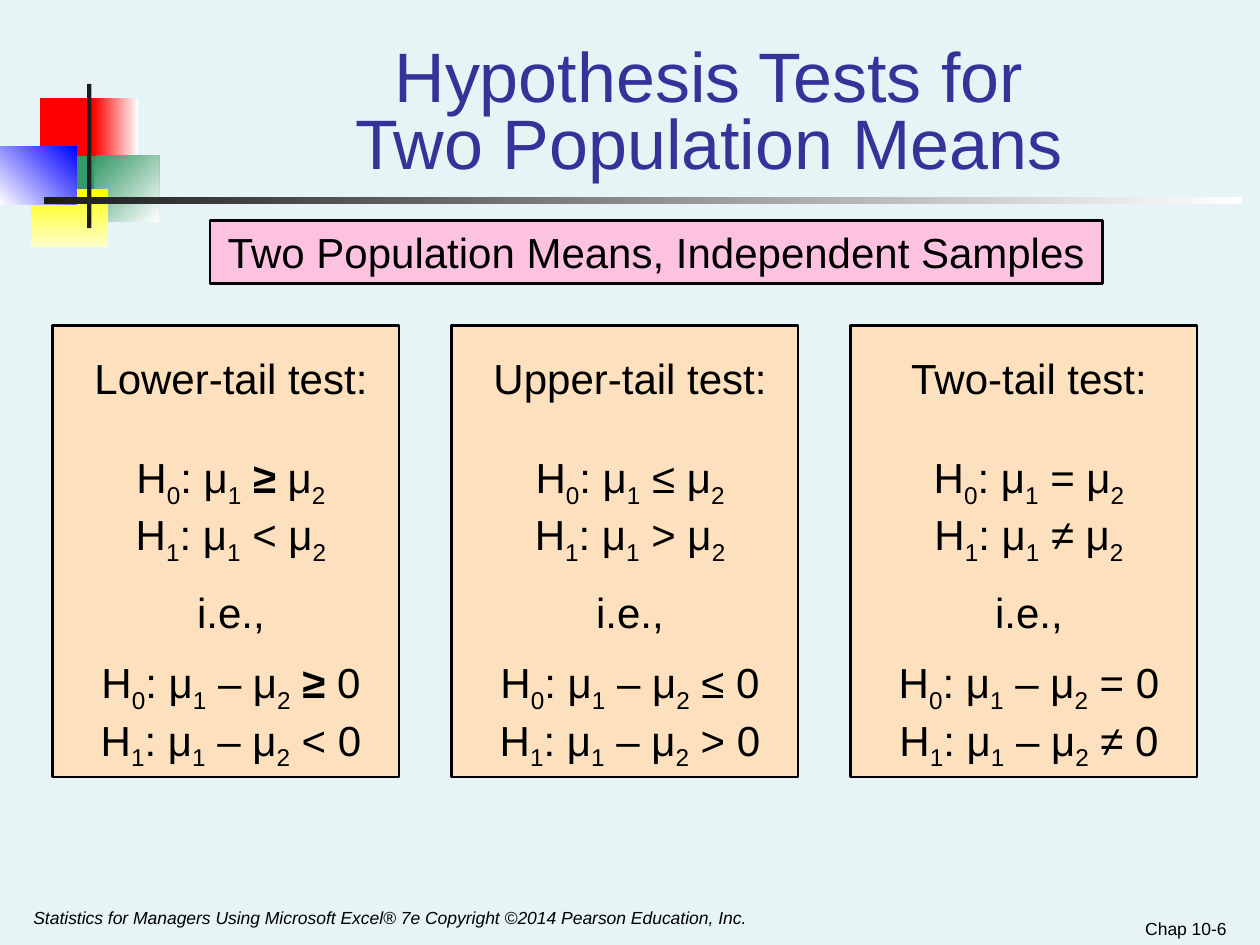
from pptx import Presentation
from pptx.dml.color import RGBColor
from pptx.enum.shapes import MSO_SHAPE
from pptx.enum.text import MSO_ANCHOR, MSO_AUTO_SIZE, PP_ALIGN
from pptx.util import Pt

COLORS = {
    "background": "E7F4F5", "title": "333399", "text": "000000",
    "panel": "FDE0BD", "banner": "FCC2E0",
    "red": "FF0000", "green": "339966", "blue": "0000FF",
    "yellow": "FFFF00", "pale_yellow": "FFFFCC",
    "white": "FFFFFF", "black": "1C1C1C",
}
FONT = "Arial"

TITLE_LINES = ["Hypothesis Tests for", "Two Population Means"]
BANNER = "Two Population Means, Independent Samples"
COPYRIGHT = ("Statistics for Managers Using Microsoft Excel® 7e "
             "Copyright ©2014 Pearson Education, Inc.")
PAGE = "Chap 10-6"

# Heading, relation in H0, relation in H1
TESTS = [
    ("Lower-tail test:", "≥", "<"),
    ("Upper-tail test:", "≤", ">"),
    ("Two-tail test:", "=", "≠"),
]
# Text, space before; "_" makes the next character a subscript
PANEL_LINES = [
    ("{heading}", 0),
    ("H_0: μ_1 {null} μ_2", 27.6),
    ("H_1: μ_1 {alternative} μ_2", 0),
    ("i.e.,", 11.5),
    ("H_0: μ_1 – μ_2 {null} 0", 11.5),
    ("H_1: μ_1 – μ_2 {alternative} 0", 0),
]
BOLD_SYMBOL = "≥"

# Left, top, width, height, colours (two for a gradient), clockwise angle
ORNAMENTS = [
    (23, 56, 35, 37.5, ["red"], 0),
    (53.5, 56, 25.5, 37.5, ["red", "white"], 0),
    (54, 89, 37, 37.5, ["green", "white"], 45),
    (31, 89, 23, 37.5, ["green"], 0),
    (18, 108, 44, 33, ["yellow", "pale_yellow"], 90),
    (0, 83.5, 44, 33.5, ["white", "blue"], 315),
    (49.75, 48, 2.5, 82.5, ["black"], 0),
    (25, 112.5, 684.5, 4, ["black", "white"], 0),
]

PANEL_LEFT, PANEL_TOP, PANEL_WIDTH, PANEL_HEIGHT = 30, 186, 198, 258
PANEL_PITCH = 228


def rgb(name):
    return RGBColor.from_string(COLORS[name])


def add_rectangle(slide, box, colors, angle=0, outlined=False):
    shape = slide.shapes.add_shape(MSO_SHAPE.RECTANGLE, *map(Pt, box))
    shape.shadow.inherit = False
    if len(colors) == 1:
        shape.fill.solid()
        shape.fill.fore_color.rgb = rgb(colors[0])
    else:
        shape.fill.gradient()
        shape.fill.gradient_angle = -angle % 360
        for stop, color in zip(shape.fill.gradient_stops, colors):
            stop.color.rgb = rgb(color)
    if outlined:
        shape.line.color.rgb = rgb("text")
        shape.line.width = Pt(1.5)
    else:
        shape.line.fill.background()
    return shape


def prepare_frame(shape, anchor, insets=(7.2, 3.6, 7.2, 3.6)):
    frame = shape.text_frame
    frame.word_wrap = True
    frame.auto_size = MSO_AUTO_SIZE.NONE
    frame.vertical_anchor = anchor
    (frame.margin_left, frame.margin_top,
     frame.margin_right, frame.margin_bottom) = map(Pt, insets)
    return frame


def add_run(paragraph, text, size, color="text", bold=False, italic=False):
    run = paragraph.add_run()
    run.text = text
    run.font.name = FONT
    run.font.size = Pt(size)
    run.font.bold = bold
    run.font.italic = italic
    run.font.color.rgb = rgb(color)
    return run


def add_formula(paragraph, formula, size=24):
    """Add the runs of a formula, with subscripts and the bold symbol."""
    for index, piece in enumerate(formula.split("_")):
        if index:
            subscript = add_run(paragraph, piece[0], size)
            subscript._r.get_or_add_rPr().set("baseline", "-25000")
            piece = piece[1:]
        for part in piece.partition(BOLD_SYMBOL):
            if part:
                add_run(paragraph, part, size, bold=part == BOLD_SYMBOL)


def add_title(slide):
    title = slide.shapes.title
    title.left, title.top, title.width, title.height = map(Pt, (114, 30, 582, 78))
    paragraph = prepare_frame(title, MSO_ANCHOR.BOTTOM).paragraphs[0]
    paragraph.alignment = PP_ALIGN.CENTER
    paragraph.line_spacing = 0.8
    for index, line in enumerate(TITLE_LINES):
        if index:
            paragraph.add_line_break()
        add_run(paragraph, line, 40, "title")


def add_panel(slide, column, heading, null, alternative):
    left = PANEL_LEFT + column * PANEL_PITCH
    panel = add_rectangle(slide, (left, PANEL_TOP, PANEL_WIDTH, PANEL_HEIGHT),
                          ["panel"], outlined=True)
    frame = prepare_frame(panel, MSO_ANCHOR.TOP, (9, 15.6, 3, 0))
    for index, (template, space) in enumerate(PANEL_LINES):
        paragraph = frame.add_paragraph() if index else frame.paragraphs[0]
        paragraph.alignment = PP_ALIGN.CENTER
        if space:
            paragraph.space_before = Pt(space)
        add_formula(paragraph, template.format(
            heading=heading, null=null, alternative=alternative))


def add_banner(slide):
    banner = add_rectangle(slide, (120, 126, 510, 36), ["banner"], outlined=True)
    paragraph = prepare_frame(banner, MSO_ANCHOR.MIDDLE).paragraphs[0]
    paragraph.alignment = PP_ALIGN.CENTER
    add_run(paragraph, BANNER, 24)


def add_footer(slide, box, text, alignment, anchor, italic=False):
    textbox = slide.shapes.add_textbox(*map(Pt, box))
    paragraph = prepare_frame(textbox, anchor).paragraphs[0]
    paragraph.alignment = alignment
    add_run(paragraph, text, 10, italic=italic)


def main():
    presentation = Presentation()
    presentation.slide_width, presentation.slide_height = Pt(720), Pt(540)
    slide = presentation.slides.add_slide(presentation.slide_layouts[5])
    slide.background.fill.solid()
    slide.background.fill.fore_color.rgb = rgb("background")

    for *box, colors, angle in ORNAMENTS:
        add_rectangle(slide, box, colors, angle)
    add_title(slide)
    add_banner(slide)
    for column, test in enumerate(TESTS):
        add_panel(slide, column, *test)
    add_footer(slide, (12, 515, 450, 25), COPYRIGHT,
               PP_ALIGN.LEFT, MSO_ANCHOR.TOP, italic=True)
    add_footer(slide, (540, 515, 168, 25), PAGE,
               PP_ALIGN.RIGHT, MSO_ANCHOR.BOTTOM)
    presentation.save("out.pptx")


if __name__ == "__main__":
    main()
